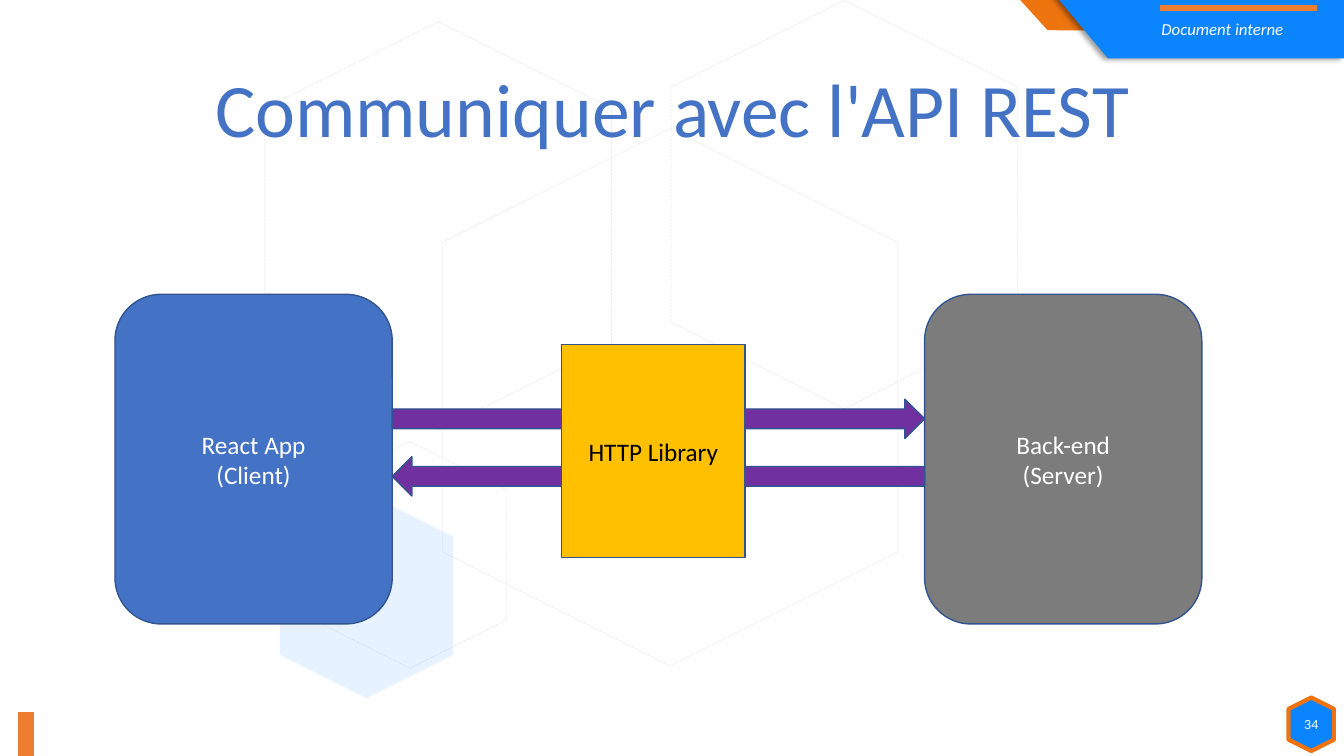
"""Build a slide showing a client and a server talking through an HTTP library."""
from dataclasses import dataclass

from lxml.etree import SubElement
from pptx import Presentation
from pptx.dml.color import RGBColor
from pptx.enum.dml import MSO_LINE
from pptx.enum.shapes import MSO_CONNECTOR, MSO_SHAPE
from pptx.enum.text import MSO_ANCHOR, PP_ALIGN
from pptx.oxml.ns import qn
from pptx.util import Inches, Pt


@dataclass(frozen=True)
class Theme:
    font: str = "Calibri"
    black: str = "000000"
    white: str = "FFFFFF"
    azure: str = "0B84FF"
    orange: str = "EE740F"
    stripe: str = "ED7D31"
    blue: str = "4472C4"
    navy: str = "325491"
    gray: str = "7C7C7C"
    purple: str = "7030A0"
    gold: str = "FFC000"
    title: int = 54
    body: int = 18
    label: int = 12
    number: int = 10


theme = Theme()


def paint(shape, fill=None, line=None, width=1, alpha=None):
    shape.shadow.inherit = False
    if fill:
        shape.fill.solid()
        shape.fill.fore_color.rgb = RGBColor.from_string(fill)
    else:
        shape.fill.background()
    if line:
        shape.line.color.rgb = RGBColor.from_string(line)
        shape.line.width = Pt(width)
    else:
        shape.line.fill.background()
    if alpha:
        for color in shape.element.spPr.iter(qn("a:srgbClr")):
            SubElement(color, qn("a:alpha"), val=str(alpha * 1000))


def write(shape, text, size, color, align=PP_ALIGN.CENTER, anchor=MSO_ANCHOR.MIDDLE):
    frame = shape.text_frame
    frame.word_wrap = True
    frame.vertical_anchor = anchor
    frame.text = text
    for para in frame.paragraphs:
        para.alignment = align
        para.font.name = theme.font
        para.font.size = Pt(size)
        para.font.color.rgb = RGBColor.from_string(color)
    return frame.paragraphs[0]


deck = Presentation()
deck.slide_width = Inches(13.33)
deck.slide_height = Inches(7.5)
slide = deck.slides.add_slide(deck.slide_layouts[6])
shapes = slide.shapes

hexagons = [
    ((3.98, 1.68, 5.33, 4.52), 90, None, theme.black, 0.25, None),
    ((6.35, 0.31, 4.05, 3.44), 90, None, theme.black, 0.5, MSO_LINE.ROUND_DOT),
    ((2.94, 4.55, 2.25, 1.91), 90, None, theme.black, 0.5, MSO_LINE.ROUND_DOT),
    ((2.62, 5.05, 2.03, 1.72), 270, theme.azure, None, 0, None),
    ((2.32, 0.52, 4.05, 3.44), 90, None, theme.black, 0.5, MSO_LINE.ROUND_DOT),
]
for box, turn, fill, line, width, dash in hexagons:
    hexagon = shapes.add_shape(MSO_SHAPE.HEXAGON, *map(Inches, box))
    hexagon.rotation = turn
    paint(hexagon, fill, line, width, alpha=10)
    if dash:
        hexagon.line.dash_style = dash

banners = [
    (theme.orange, [(10.1, -0.02), (11.5, -0.02), (11.51, 0.31), (10.39, 0.3)]),
    (theme.azure, [(10.48, -0.03), (13.33, -0.03), (13.33, 0.58), (10.99, 0.58)]),
]
for fill, points in banners:
    corners = [(Inches(x), Inches(y)) for x, y in points]
    outline = shapes.build_freeform(*corners[0])
    outline.add_line_segments(corners[1:], close=True)
    banner = outline.convert_to_shape()
    paint(banner, fill)

effects = banner.element.spPr.find(qn("a:effectLst"))
shadow = SubElement(effects, qn("a:outerShdw"), blurRad=str(Pt(4)), dist=str(Pt(3)),
                    dir="10800000", algn="r", rotWithShape="0")
tint = SubElement(shadow, qn("a:srgbClr"), val=theme.black)
SubElement(tint, qn("a:alpha"), val="40000")

label = shapes.add_textbox(*map(Inches, (11.42, 0.14, 2.01, 0.51)))
write(label, "Document interne", theme.label, theme.white,
      PP_ALIGN.LEFT, MSO_ANCHOR.TOP).font.italic = True

for ends, width in [((0.26, 7.06, 0.26, 7.5), 11), ((11.51, 0.08, 13.06, 0.08), 4.5)]:
    stripe = shapes.add_connector(MSO_CONNECTOR.STRAIGHT, *map(Inches, ends))
    stripe.line.color.rgb = RGBColor.from_string(theme.stripe)
    stripe.line.width = Pt(width)
    SubElement(stripe.element.spPr, qn("a:effectLst"))

badge = shapes.add_shape(MSO_SHAPE.HEXAGON, *map(Inches, (12.74, 6.96, 0.53, 0.45)))
badge.rotation = 270
paint(badge, theme.azure, theme.orange, 3)
number = shapes.add_textbox(*map(Inches, (12.78, 7.02, 0.45, 0.33)))
write(number, "34", theme.number, theme.white)

title = shapes.add_textbox(*map(Inches, (0.92, 0.4, 11.5, 1.45)))
write(title, "Communiquer avec l'API REST", theme.title, theme.blue).line_spacing = 0.9

sides = [
    (1.14, "React App\n(Client)", theme.blue),
    (9.17, "Back-end\n(Server)", theme.gray),
]
for left, text, fill in sides:
    side = shapes.add_shape(MSO_SHAPE.ROUNDED_RECTANGLE,
                            *map(Inches, (left, 2.92, 2.75, 3.27)))
    paint(side, fill, theme.navy)
    write(side, text, theme.body, theme.white)

for top, turn in [(3.96, 0), (4.53, 180)]:
    arrow = shapes.add_shape(MSO_SHAPE.RIGHT_ARROW, *map(Inches, (3.89, top, 5.28, 0.39)))
    arrow.rotation = turn
    paint(arrow, theme.purple, theme.navy)

library = shapes.add_shape(MSO_SHAPE.RECTANGLE, *map(Inches, (5.57, 3.42, 1.82, 2.11)))
paint(library, theme.gold, theme.navy)
write(library, "HTTP Library", theme.body, theme.black)

deck.save("out.pptx")
